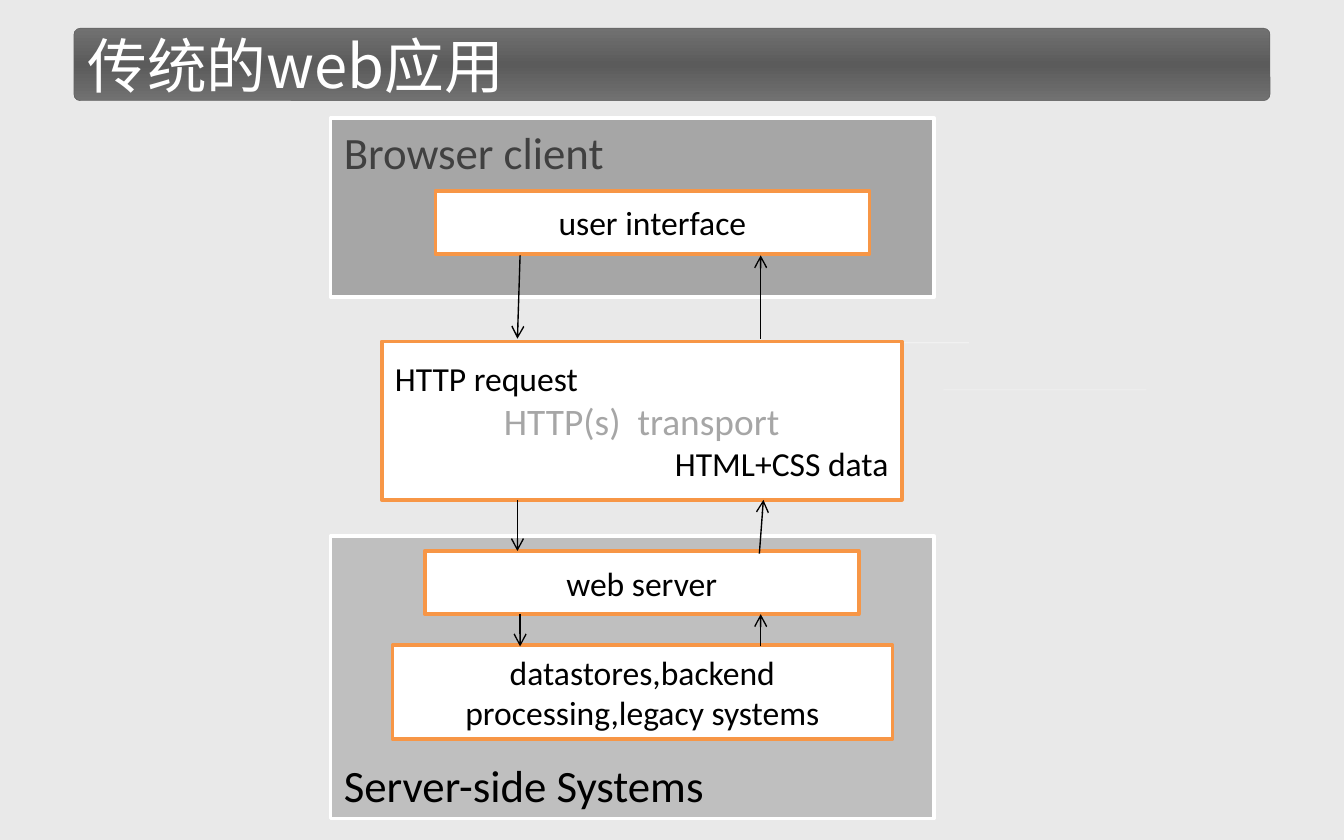
from dataclasses import dataclass
from typing import Any

from lxml.etree import SubElement
from pptx import Presentation
from pptx.dml.color import RGBColor
from pptx.enum.shapes import MSO_CONNECTOR as CONN, MSO_SHAPE as SHAPE
from pptx.enum.text import MSO_ANCHOR as ANCHOR, MSO_AUTO_SIZE as AUTO, PP_ALIGN as ALIGN
from pptx.oxml.ns import qn
from pptx.util import Inches, Pt

COLS, ROWS = 100, 62.5
COLORS = {
    "back": "E9E9E9", "white": "FFFFFF", "black": "000000",
    "orange": "F79646", "client": "A6A6A6", "server": "BFBFBF",
    "heading": "404040", "edge": "717171", "middle": "5B5B5B",
}


def rgb(name):
    return RGBColor.from_string(COLORS[name])


@dataclass
class Deck:
    prs: Any
    slide: Any = None
    font: str = "Calibri"
    title_font: str = "Noto Sans CJK SC"

    def add_slide(self):
        self.slide = self.prs.slides.add_slide(self.prs.slide_layouts[5])
        fill = self.slide.background.fill
        fill.solid()
        fill.fore_color.rgb = rgb("back")

    def x(self, col):
        return round(self.prs.slide_width * col / COLS)

    def y(self, row):
        return round(self.prs.slide_height * row / ROWS)

    def place(self, col, row, width, height):
        return self.x(col), self.y(row), self.x(width), self.y(height)

    def set_text(self, p, text, size, color, align=ALIGN.LEFT, font=None):
        p.text = text
        p.alignment = align
        for r in p.runs:
            r.font.size = Pt(size)
            r.font.name = font or self.font
            r.font.color.rgb = rgb(color)

    def title(self, text, *area):
        bar = self.slide.shapes.add_shape(SHAPE.ROUNDED_RECTANGLE, *self.place(*area))
        bar.shadow.inherit = False
        bar.adjustments[0] = 0.09
        bar.fill.gradient()
        bar.fill.gradient_angle = 90
        stops = bar._element.spPr.find(".//" + qn("a:gsLst"))
        for stop in list(stops):
            stops.remove(stop)
        for pos, name in ((0, "edge"), (50000, "middle"), (100000, "edge")):
            stop = SubElement(stops, qn("a:gs"), pos=str(pos))
            SubElement(stop, qn("a:srgbClr"), val=COLORS[name])
        bar.line.color.rgb = rgb("middle")
        bar.line.width = Pt(0.25)

        sp = self.slide.shapes.title
        sp.left, sp.top, sp.width, sp.height = self.place(*area)
        bar._element.addnext(sp._element)
        tf = sp.text_frame
        tf.auto_size = AUTO.NONE
        tf.vertical_anchor = ANCHOR.MIDDLE
        tf.margin_top = tf.margin_bottom = 0
        self.set_text(tf.paragraphs[0], text, 32, "white", font=self.title_font)
        for r in tf.paragraphs[0].runs:
            SubElement(r._r.get_or_add_rPr(), qn("a:ea"), typeface=self.title_font)

    def box(self, area, lines=(), fill="white", line="orange"):
        sp = self.slide.shapes.add_shape(SHAPE.RECTANGLE, *self.place(*area))
        sp.shadow.inherit = False
        sp.fill.solid()
        sp.fill.fore_color.rgb = rgb(fill)
        sp.line.color.rgb = rgb(line)
        sp.line.width = Pt(2)
        tf = sp.text_frame
        tf.vertical_anchor = ANCHOR.MIDDLE
        for i, (text, size, color, align) in enumerate(lines):
            p = tf.add_paragraph() if i else tf.paragraphs[0]
            self.set_text(p, text, size, color, align)

    def label(self, text, color, *area):
        tf = self.slide.shapes.add_textbox(*self.place(*area)).text_frame
        tf.word_wrap = True
        self.set_text(tf.paragraphs[0], text, 24, color)

    def line(self, x1, y1, x2, y2, color="black", opacity=100, arrow=True):
        cn = self.slide.shapes.add_connector(
            CONN.STRAIGHT, self.x(x1), self.y(y1), self.x(x2), self.y(y2))
        cn.line.color.rgb = rgb(color)
        cn.line.width = Pt(0.75)
        ln = cn._element.spPr.find(qn("a:ln"))
        if opacity < 100:
            SubElement(ln.find(".//" + qn("a:srgbClr")), qn("a:alpha"), val=str(opacity * 1000))
        if arrow:
            SubElement(ln, qn("a:tailEnd"), type="arrow")
        SubElement(cn._element.spPr, qn("a:effectLst"))


def centered(*texts):
    return [(text, 18, "black", ALIGN.CENTER) for text in texts]


def main():
    prs = Presentation()
    prs.slide_width, prs.slide_height = Inches(10), Inches(6.25)
    deck = Deck(prs)
    deck.add_slide()

    deck.line(70.2, 29, 85.3, 29, "white", 22, arrow=False)
    deck.line(57.2, 25.5, 72.1, 25.5, "white", 36, arrow=False)
    deck.title("传统的web应用", 5.5, 2.1, 89, 5.4)

    deck.box((28.4, 25.4, 38.7, 11.8), [
        ("HTTP request", 18, "black", ALIGN.LEFT),
        ("HTTP(s)  transport", 20, "client", ALIGN.CENTER),
        ("HTML+CSS data", 18, "black", ALIGN.RIGHT),
    ])
    deck.box((24.6, 8.8, 44.9, 13.3), fill="client", line="white")
    deck.box((32.4, 14.2, 32.3, 4.7), centered("user interface"))
    deck.box((24.6, 39.9, 44.9, 21), fill="server", line="white")
    deck.box((31.6, 41, 32.3, 4.7), centered("web server"))
    deck.box((29.2, 48, 37.2, 7),
             centered("datastores,backend", "processing,legacy systems"))

    for ends in (
        (38.7, 19, 38.5, 25.2), (38.5, 37.2, 38.5, 41), (38.7, 45.7, 38.7, 48.1),
        (56.6, 48.1, 56.6, 45.7), (56.5, 41.2, 56.8, 37.2), (56.6, 25.2, 56.6, 19),
    ):
        deck.line(*ends)

    deck.label("Browser client", "heading", 24.6, 8.8, 34.2, 5)
    deck.label("Server-side Systems", "black", 24.6, 55.9, 29.9, 5)

    prs.save("out.pptx")


if __name__ == "__main__":
    main()
